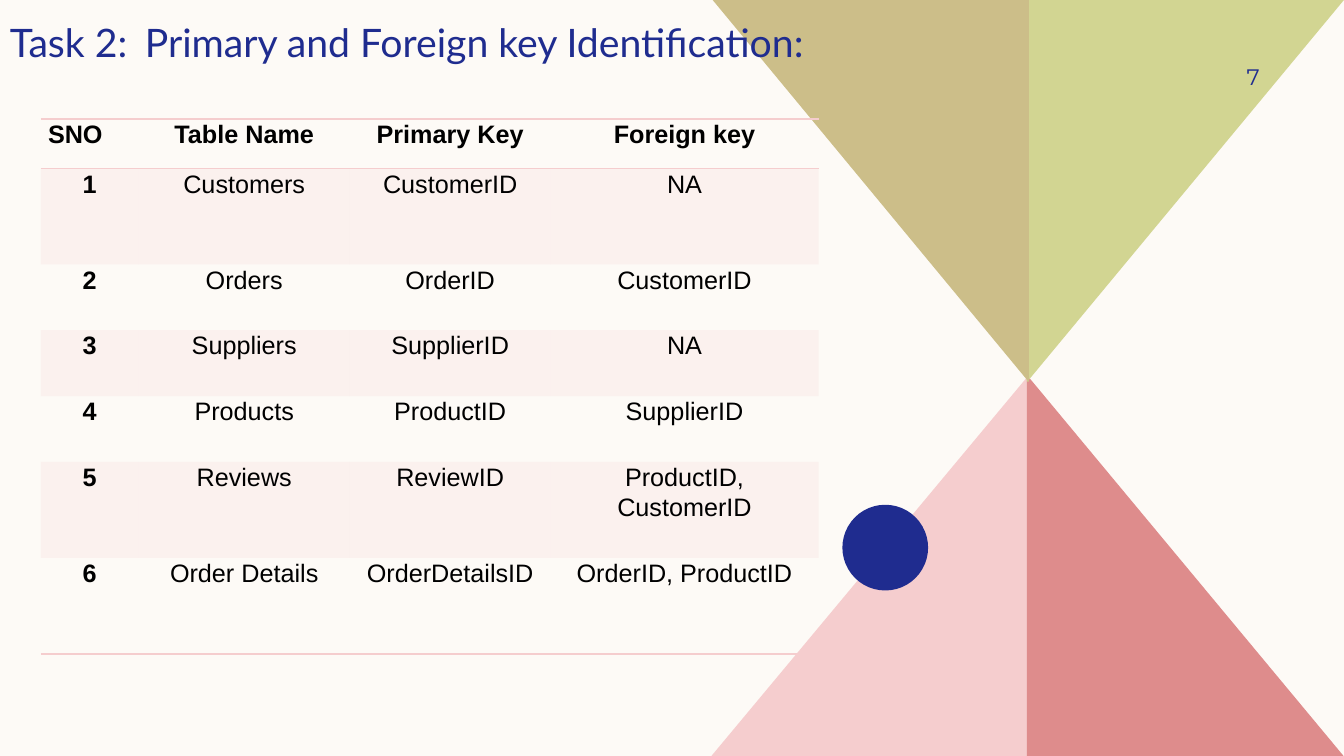
"""Build the slide on primary and foreign key identification."""
from lxml.etree import SubElement
from pptx import Presentation
from pptx.dml.color import RGBColor
from pptx.enum.shapes import MSO_SHAPE as Shape
from pptx.enum.text import MSO_ANCHOR as Anchor, PP_ALIGN as Align
from pptx.oxml import parse_xml
from pptx.oxml.ns import nsdecls, qn
from pptx.util import Cm, Pt

NAVY, PINK, ROSE, LIME, SAND = "1F2C8F", "F5CDCE", "DE8C8C", "D2D592", "CCBE89"


def paint(fill, color):
    fill.solid()
    fill.fore_color.rgb = RGBColor.from_string(color)


def write(par, text, font, size, color, bold=False):
    run = par.add_run()
    run.text = text
    run.font.name = font
    run.font.size = Pt(size)
    run.font.bold = bold
    run.font.color.rgb = RGBColor.from_string(color)
    return run


deck = Presentation()
deck.slide_width, deck.slide_height = Cm(33.87), Cm(19.05)
slide = deck.slides.add_slide(deck.slide_layouts[6])
paint(slide.background.fill, "FDFAF6")
shapes = slide.shapes

wings = [
    (25.93, 9.45, 17.93, 19.05, PINK),
    (25.88, 9.45, 33.86, 19.05, ROSE),
    (25.88, 9.63, 33.87, 0, LIME),
    (25.93, 9.63, 17.96, 0, SAND),
]
for mid, tip, side, base, color in wings:
    path = shapes.build_freeform(Cm(mid), Cm(tip))
    path.add_line_segments([(Cm(side), Cm(base)), (Cm(mid), Cm(base))])
    wing = path.convert_to_shape()
    paint(wing.fill, color)
    wing.line.fill.background()
    wing.shadow.inherit = False

dot = shapes.add_shape(Shape.OVAL, Cm(21.23), Cm(12.72), Cm(2.16), Cm(2.16))
paint(dot.fill, NAVY)
dot.line.fill.background()
dot.shadow.inherit = False

page = shapes.add_textbox(Cm(28.78), Cm(1.27), Cm(2.97), Cm(1.32)).text_frame
page.word_wrap = True
page.vertical_anchor = Anchor.MIDDLE
page.margin_right = 0
page.paragraphs[0].alignment = Align.RIGHT
write(page.paragraphs[0], "7", "Montserrat", 16, NAVY)

rows = [
    ("SNO", "Table Name", "Primary Key", "Foreign key"),
    ("1", "Customers", "CustomerID", "NA"),
    ("2", "Orders", "OrderID", "CustomerID"),
    ("3", "Suppliers", "SupplierID", "NA"),
    ("4", "Products", "ProductID", "SupplierID"),
    ("5", "Reviews", "ReviewID", "ProductID, CustomerID"),
    ("6", "Order Details", "OrderDetailsID", "OrderID, ProductID"),
]
widths = [2.46, 5.33, 5.05, 6.76]
heights = [1.24, 2.42, 1.66, 1.66, 1.66, 2.42, 2.42]
frame = shapes.add_table(len(rows), len(widths), Cm(1.03), Cm(3),
                         Cm(sum(widths)), Cm(sum(heights)))
table = frame.table
table.first_row = table.horz_banding = False
style = table._tbl.tblPr.find(qn("a:tableStyleId"))
style.text = "{2D5ABB26-0587-4C30-8999-92F81FD0307C}"
for col, width in zip(table.columns, widths):
    col.width = Cm(width)

edges = {0: ("lnB", "lnT"), len(rows) - 1: ("lnB",)}
for i, row in enumerate(rows):
    table.rows[i].height = Cm(heights[i])
    for j, text in enumerate(row):
        cell = table.cell(i, j)
        cell.margin_left = cell.margin_right = Cm(0.18)
        cell.margin_top = cell.margin_bottom = 0
        par = cell.text_frame.paragraphs[0]
        par.alignment = Align.LEFT if i == j == 0 else Align.CENTER
        par.line_spacing = 1.07
        par.space_after = Pt(8)
        write(par, text, "Arial", 18, "000000", i == 0 or j == 0)
        props = cell._tc.get_or_add_tcPr()
        if i % 2:
            paint(cell.fill, PINK)
            tint = props.find(".//" + qn("a:srgbClr"))
            SubElement(tint, qn("a:alpha")).set("val", "20000")
        else:
            cell.fill.background()
        for edge in edges.get(i, ()):
            props.insert(0, parse_xml(
                f'<a:{edge} {nsdecls("a")} w="12700"><a:solidFill>'
                f'<a:srgbClr val="{PINK}"/></a:solidFill></a:{edge}>'))

title = shapes.add_textbox(0, Cm(0.33), Cm(21.13), Cm(2.41)).text_frame
title.word_wrap = True
head = title.paragraphs[0]
write(head, "Task 2:", "Lato", 28, NAVY)
gap = write(head, " ", "Lato", 28, NAVY)
gap._r.get_or_add_rPr().set("spc", "540")
write(head, "Primary and Foreign key Identification:", "Lato", 28, NAVY)

deck.save("out.pptx")
